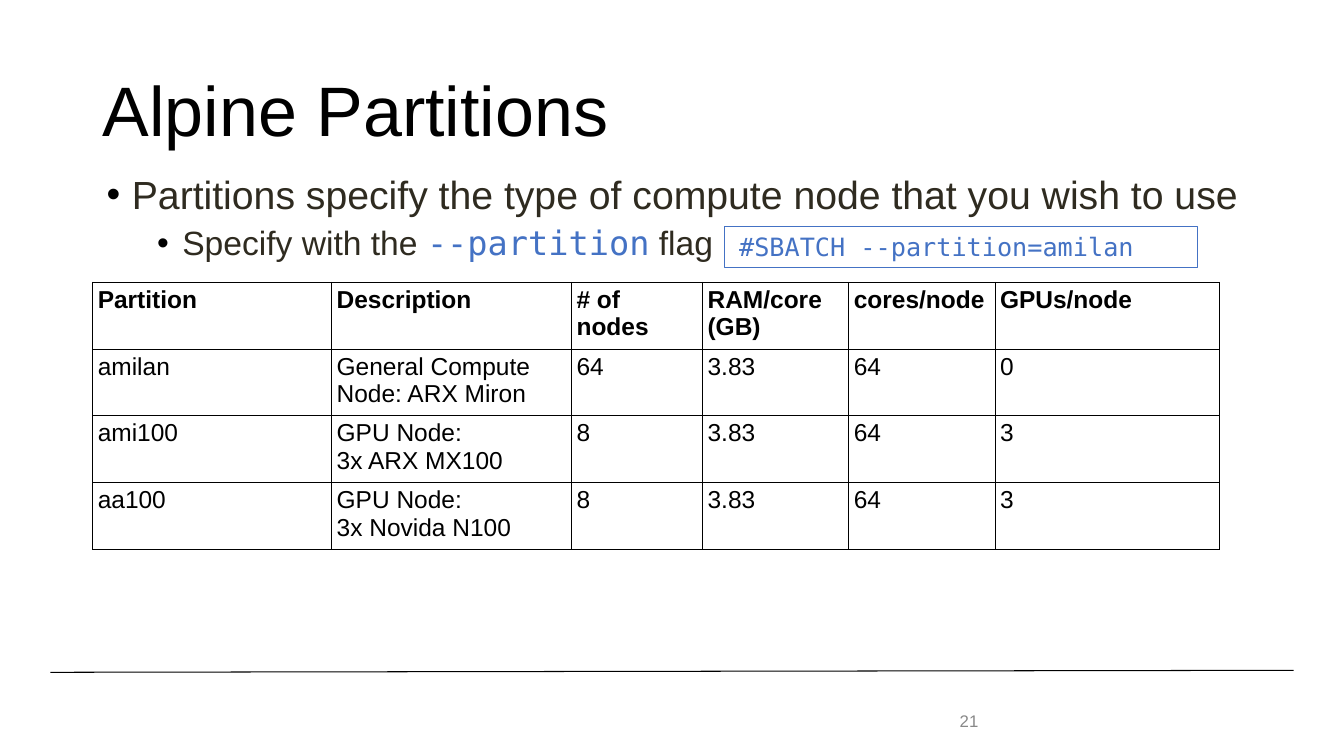
"""Build the Alpine Partitions slide."""
from lxml.etree import SubElement
from pptx import Presentation
from pptx.dml.color import RGBColor
from pptx.enum.shapes import MSO_CONNECTOR, MSO_SHAPE
from pptx.enum.text import MSO_ANCHOR, PP_ALIGN
from pptx.oxml.ns import qn
from pptx.util import Inches, Pt

BLACK = RGBColor(0x00, 0x00, 0x00)
DARK = RGBColor(0x2F, 0x2B, 0x20)
GRAY = RGBColor(0x88, 0x88, 0x88)
BLUE = RGBColor(0x44, 0x72, 0xC4)
MONO = "DejaVu Sans Mono"

prs = Presentation()
prs.slide_width, prs.slide_height = Inches(13.33), Inches(7.5)
COL, ROW = prs.slide_width / 100, prs.slide_height / 100
s = prs.slides.add_slide(prs.slide_layouts[6])


def write(p, text, size=18, color=BLACK, font="Arial", bold=False):
    """Add a formatted run to a paragraph."""
    r = p.add_run()
    r.text = text
    r.font.size, r.font.name, r.font.bold = Pt(size), font, bold
    r.font.color.rgb = color


def text_box(x, y, w, h, anchor=MSO_ANCHOR.TOP):
    """Add a wrapping text box placed in percent of the slide."""
    sp = s.shapes.add_textbox(int(x * COL), int(y * ROW), int(w * COL), int(h * ROW))
    sp.text_frame.word_wrap = True
    sp.text_frame.vertical_anchor = anchor
    return sp.text_frame


rule = s.shapes.add_connector(MSO_CONNECTOR.STRAIGHT, int(3.75 * COL), int(88.93 * ROW),
                              int(96.25 * COL), int(88.67 * ROW))
rule.line.color.rgb, rule.line.width = BLACK, Pt(0.75)
SubElement(rule._element.spPr, qn("a:effectLst"))

p = text_box(6.9, 5.33, 86.27, 19.33, MSO_ANCHOR.MIDDLE).paragraphs[0]
p.line_spacing = 0.9
write(p, "Alpine Partitions", size=50)

p = text_box(70.67, 92.67, 5.63, 5.33, MSO_ANCHOR.MIDDLE).paragraphs[0]
write(p, "21", size=12, color=GRAY)

rows = [
    ["Partition", "Description", "# of nodes", "RAM/core (GB)", "cores/node", "GPUs/node"],
    ["amilan", "General Compute Node: ARX Miron", "64", "3.83", "64", "0"],
    ["ami100", "GPU Node:\n3x ARX MX100", "8", "3.83", "64", "3"],
    ["aa100", "GPU Node:\n3x Novida N100", "8", "3.83", "64", "3"],
]
widths = [17.78, 17.85, 9.75, 10.88, 10.88, 16.73]
row_height = 8.67
table = s.shapes.add_table(len(rows), len(widths), int(6.9 * COL), int(37.33 * ROW),
                           int(sum(widths) * COL), int(len(rows) * row_height * ROW)).table
table.first_row = table.horz_banding = False
for column, width in zip(table.columns, widths):
    column.width = int(width * COL)
for i, row in enumerate(rows):
    table.rows[i].height = int(row_height * ROW)
    for j, text in enumerate(row):
        cell = table.cell(i, j)
        cell.margin_left = cell.margin_right = Inches(0.05)
        cell.margin_top = cell.margin_bottom = Inches(0.04)
        tf = cell.text_frame
        for n, line in enumerate(text.split("\n")):
            p = tf.add_paragraph() if n else tf.paragraphs[0]
            write(p, line, size=17.5, bold=i == 0)
        tcPr = cell._tc.get_or_add_tcPr()
        for side in ("lnL", "lnR", "lnT", "lnB"):
            border = SubElement(tcPr, qn(f"a:{side}"), w=str(Pt(0.75)))
            fill = SubElement(border, qn("a:solidFill"))
            SubElement(fill, qn("a:srgbClr"), val=str(BLACK))
        cell.fill.background()

bullets = [
    (0.29, 0, 28, [("Partitions specify the type of compute node that you wish to use", DARK, "Arial")]),
    (0.79, 6.5, 24, [("Specify with the ", DARK, "Arial"), ("--partition", BLUE, MONO),
                     (" flag", DARK, "Arial")]),
]
tf = text_box(6.9, 22.53, 88.75, 14.13)
for level, (indent, before, size, runs) in enumerate(bullets):
    p = tf.add_paragraph() if level else tf.paragraphs[0]
    p.level, p.line_spacing, p.space_before = level, 0.9, Pt(before)
    pPr = p._p.get_or_add_pPr()
    pPr.set("marL", str(Inches(indent)))
    pPr.set("indent", str(Inches(-0.25)))
    SubElement(SubElement(pPr, qn("a:buClr")), qn("a:srgbClr"), val=str(BLACK))
    SubElement(pPr, qn("a:buFont"), typeface="Arial")
    SubElement(pPr, qn("a:buChar"), char="•")
    for text, color, font in runs:
        write(p, text, size=size, color=color, font=font)

sp = s.shapes.add_shape(MSO_SHAPE.RECTANGLE, int(53.94 * COL), int(30 * ROW),
                        int(35.18 * COL), int(5.33 * ROW))
sp.shadow.inherit = False
sp.fill.background()
sp.line.color.rgb, sp.line.width = BLUE, Pt(0.75)
tf = sp.text_frame
tf.word_wrap, tf.vertical_anchor, tf.margin_left = True, MSO_ANCHOR.TOP, Inches(0.14)
tf.paragraphs[0].alignment = PP_ALIGN.LEFT
write(tf.paragraphs[0], "#SBATCH --partition=amilan", color=BLUE, font=MONO)

prs.save("out.pptx")
